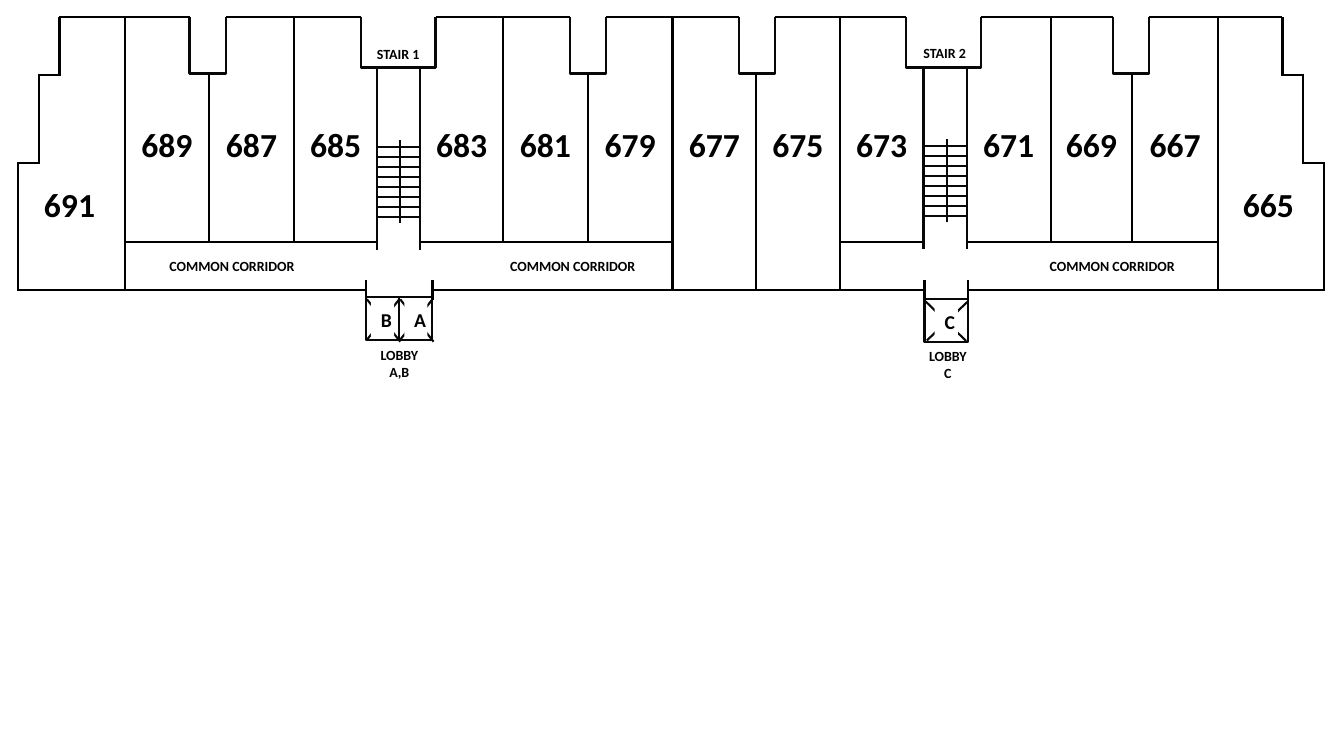
from lxml import etree
from pptx import Presentation
from pptx.dml.color import RGBColor
from pptx.enum.shapes import MSO_CONNECTOR, MSO_SHAPE
from pptx.enum.text import MSO_ANCHOR, MSO_AUTO_SIZE, PP_ALIGN
from pptx.oxml.ns import qn
from pptx.util import Inches, Pt

STRAIGHT = MSO_CONNECTOR.STRAIGHT
RECT = MSO_SHAPE.RECTANGLE
CENTER = PP_ALIGN.CENTER
TOP, MIDDLE = MSO_ANCHOR.TOP, MSO_ANCHOR.MIDDLE
GROW = MSO_AUTO_SIZE.SHAPE_TO_FIT_TEXT

BLACK, INK, WHITE = "000000", "080808", "FFFFFF"

# Rows of the plan, in inches
ROOF, NOTCH, HALL, BASE = 0.17, 0.73, 2.4, 2.88
# Columns: the walls of the three wings, split by the stairs
WINGS = [
    (1.24, 2.07, 2.92, 3.74),
    (4.17, 4.99, 5.83, 6.67, 7.5, 8.33, 9.16),
    (9.59, 10.42, 11.23, 12.08),
]
SHORT = (2.07, 5.83, 7.5, 11.23)
LONG = (1.24, 6.67, 7.5, 8.33, 12.08)
BOTH = 13.31  # sum of the left and right edges of the building
# Roof recesses: centre, width, depth
BAYS = [(2.06, 0.36, 0.56), (3.95, 0.74, 0.5), (5.83, 0.36, 0.56),
        (7.51, 0.36, 0.56), (9.36, 0.74, 0.5), (11.22, 0.36, 0.56)]
# Lifts: name, left, top, width
LIFTS = [("B", 3.63, 2.95, 0.33), ("A", 3.96, 2.95, 0.33),
         ("C", 9.17, 2.97, 0.43)]


def color(code):
    return RGBColor.from_string(code)


def line(page, x1, y1, x2, y2, ink=BLACK, dash=None):
    wall = page.add_connector(STRAIGHT, *map(Inches, (x1, y1, x2, y2)))
    wall.line.color.rgb = color(ink)
    wall.line.width = Pt(1.5)
    props = wall._element.spPr
    if dash:
        etree.SubElement(props.find(qn("a:ln")), qn("a:prstDash"), val=dash)
    etree.SubElement(props, qn("a:effectLst"))


def rect(page, x, y, w, h, fill=None, ink=None):
    box = page.add_shape(RECT, *map(Inches, (x, y, w, h)))
    box.shadow.inherit = False
    if fill:
        box.fill.solid()
        box.fill.fore_color.rgb = color(fill)
    else:
        box.fill.background()
    if ink:
        box.line.color.rgb = color(ink)
        box.line.width = Pt(1.5)
    else:
        box.line.fill.background()
    return box


def write(box, words, size=10, anchor=TOP, wrap=True):
    frame = box.text_frame
    frame.text = words
    frame.word_wrap = wrap
    frame.auto_size = GROW
    frame.vertical_anchor = anchor
    para = frame.paragraphs[0]
    para.alignment = CENTER
    for run in para.runs:
        run.font.name = "Calibri"
        run.font.size = Pt(size)
        run.font.bold = True
        run.font.color.rgb = color(BLACK)


def label(page, words, mid, y, w, h=0.27, **style):
    box = page.add_textbox(*map(Inches, (mid - w / 2, y, w, h)))
    write(box, words, **style)


def recess(page, mid, w, deep):
    left, right, low = mid - w / 2, mid + w / 2, ROOF + deep
    path = [(Inches(x), Inches(y)) for x, y in
            ((right, ROOF), (right, low), (left, low), (left, ROOF))]
    form = page.build_freeform(*path[0])
    form.add_line_segments(path[1:], close=False)
    shape = form.convert_to_shape()
    shape.shadow.inherit = False
    shape.fill.background()
    shape.line.color.rgb = color(INK)
    shape.line.width = Pt(1.5)


def shell(page):
    # Roof runs between the recesses
    edges = [0.59]
    for mid, w, deep in BAYS:
        recess(page, mid, w, deep)
        edges += [mid - w / 2, mid + w / 2]
    edges.append(BOTH - 0.59)
    for left, right in zip(edges[::2], edges[1::2]):
        line(page, left, ROOF, right, ROOF)
    # Stepped ends, the right one mirrored
    steps = [(0.59, ROOF, 0.59, 0.75), (0.38, 0.74, 0.6, 0.74),
             (0.39, 0.73, 0.39, 1.63), (0.17, 1.62, 0.39, 1.62),
             (0.18, 1.61, 0.18, 2.89)]
    for x1, y1, x2, y2 in steps:
        line(page, x1, y1, x2, y2)
        line(page, BOTH - x1, y1, BOTH - x2, y2)
    # Front wall
    for left, right in ((0.17, 3.63), (4.28, 9.17), (9.59, 13.14)):
        line(page, left, BASE, right, BASE)


def rooms(page):
    number = 689
    for wing in WINGS:
        for left, right in zip(wing, wing[1:]):
            label(page, str(number), (left + right) / 2, 1.18, 0.73, 0.5,
                  size=24)
            number -= 2
    for name, mid in (("691", 0.69), ("665", 12.58)):
        label(page, name, mid, 1.78, 0.73, 0.5, size=24)
    # Party walls; the stair walls are drawn with the stairs
    walls = [WINGS[0][:-1], WINGS[1][1:-1], WINGS[2][1:]]
    for x in sum(walls, ()):
        line(page, x, NOTCH if x in SHORT else ROOF,
             x, BASE if x in LONG else HALL)
    # Corridors
    for left, right in ((1.24, 3.74), (4.17, 6.67), (8.33, 9.17),
                        (9.58, 12.08)):
        line(page, left, HALL, right, HALL)
    for mid in (2.3, 5.68, 11.03):
        label(page, "COMMON CORRIDOR", mid, 2.51, 1.52)


def stair(page, name, left, rail, rise):
    right = left + 0.43
    for x in (left, right):
        line(page, x, 0.67, x, 2.48 - rise, INK)
    line(page, rail, 1.39 - rise, rail, 2.21 - rise, INK)
    for step in range(8):
        y = 1.46 - rise + step * 0.69 / 7
        line(page, left, y, right, y, INK)
    label(page, name, left + 0.21, 0.4 - rise, 0.68)


def lift(page, name, x, y, w):
    rect(page, x, y, w, 0.42, ink=INK)
    for start, end, low in ((0.01, w + 0.01, 0.44), (w, 0.01, 0.42)):
        line(page, x + start, y + 0.02, x + end, y + low, INK,
             "lgDashDotDot")
    tag = rect(page, x + (w - 0.23) / 2, y + 0.05, 0.23, 0.34, fill=WHITE)
    write(tag, name, size=14, anchor=MIDDLE)


def main():
    deck = Presentation()
    deck.slide_width, deck.slide_height = Inches(13.33), Inches(7.5)
    page = deck.slides.add_slide(deck.slide_layouts[6]).shapes

    shell(page)
    rooms(page)
    stair(page, "STAIR 1", 3.74, 3.97, 0)
    stair(page, "STAIR 2", 9.16, 9.39, 0.01)

    # Lifts and lobbies
    for item in LIFTS:
        lift(page, *item)
    for x in (3.63, 4.29, 9.17, 9.6):
        line(page, x, 2.78, x, 2.98)
    label(page, "LOBBY\vA,B", 3.96, 3.39, 0.72, wrap=False)
    label(page, "LOBBY\vC", 9.4, 3.4, 0.61, wrap=False)

    deck.save("out.pptx")


if __name__ == "__main__":
    main()
